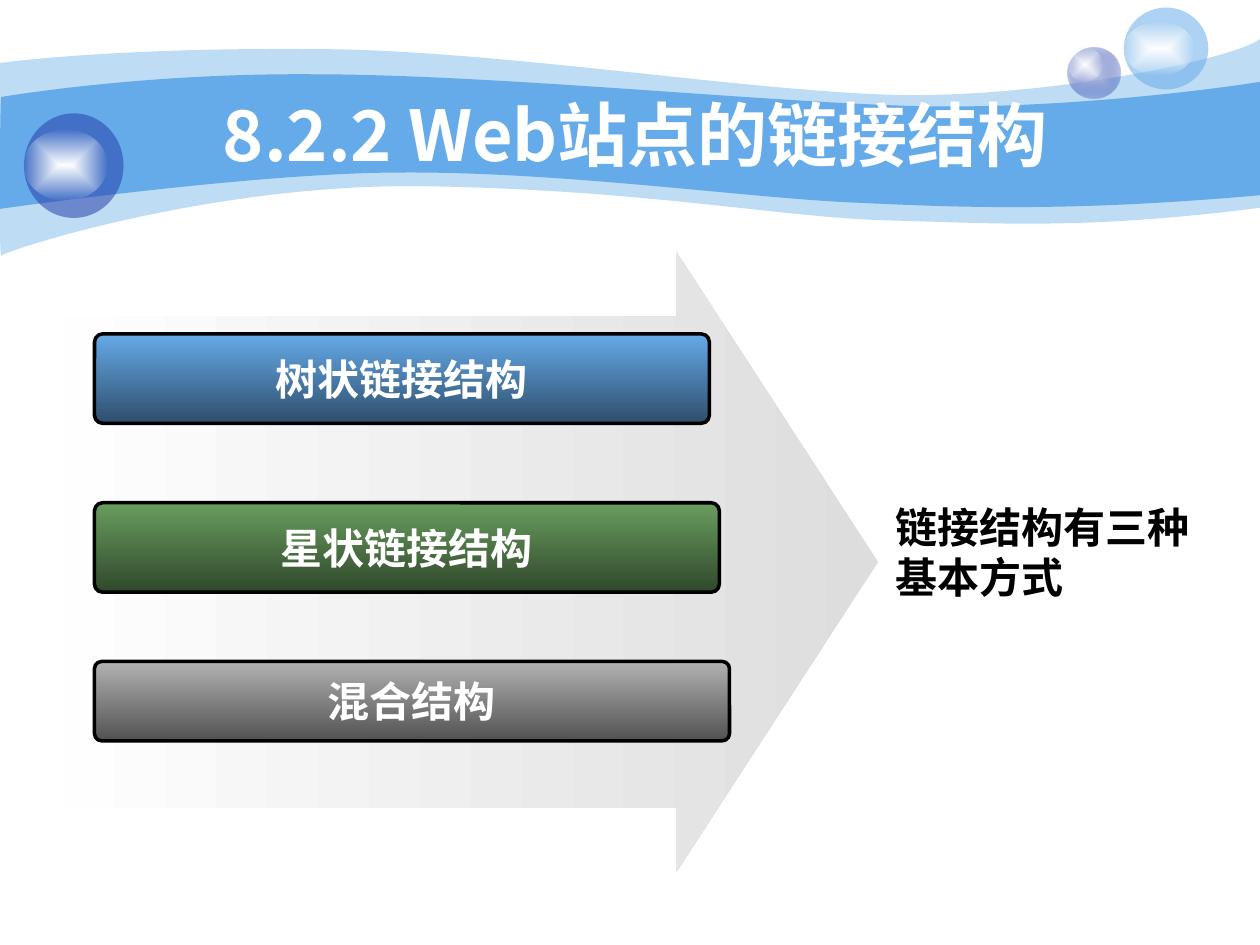
"""Build a slide on the three basic link structures of a web site."""
from dataclasses import dataclass
from typing import NamedTuple

from pptx import Presentation
from pptx.dml.color import RGBColor as Rgb
from pptx.enum.shapes import MSO_SHAPE as Kind
from pptx.enum.text import MSO_ANCHOR as Anchor, PP_ALIGN as Align
from pptx.oxml import parse_xml
from pptx.oxml.ns import nsdecls, qn
from pptx.util import Inches, Pt


class Stop(NamedTuple):
    hue: str
    alpha: int = 100


class Box(NamedTuple):
    left: float
    top: float
    width: float
    height: float


@dataclass(frozen=True)
class Theme:
    sky: str = "65AAE9"
    navy: str = "233DA9"
    white: str = "FFFFFF"
    black: str = "000000"
    glow: tuple = (Stop("FFFFFF"), Stop("FEFEFE", 0))
    fade: tuple = (Stop("DDDDDD"), Stop("FEFEFE"))
    head: int = 40
    body: int = 24
    face: str = "Arial"
    cjk: str = "Noto Sans CJK SC"
    bend: float = 1 / 11


@dataclass(frozen=True)
class Wave:
    start: tuple
    top: tuple
    edge: tuple
    base: tuple
    alpha: int


@dataclass(frozen=True)
class Ball:
    box: Box
    shine: Box
    fill: tuple


@dataclass(frozen=True)
class Bar:
    text: str
    top: float
    width: float
    height: float
    fill: tuple


THEME = Theme()
RECT = '<a:path path="rect"><a:fillToRect l="50000" t="50000" r="50000" b="50000"/></a:path>'
WAVES = (
    Wave((0, .5),
         ((.24, .47), (1.07, .38), (2.47, .39), (3.86, .39), (5.75, .7), (6.99, .75),
          (8.22, .8), (9.8, .47), (10, .31)),
         (10, 1.65),
         ((8.58, 1.83), (7.87, 1.77), (7.05, 1.75), (6.22, 1.73), (5.15, 1.51), (3.43, 1.48),
          (1.72, 1.44), (.04, 1.99), (.01, 2.03), (-.01, 2.08), (0, .75), (0, .5)), 41),
    Wave((.01, .77),
         ((.02, .77), (1.1, .58), (2.48, .59), (3.86, .59), (5.95, .8), (7.18, .84),
          (8.41, .88), (9.76, .69), (10, .65)),
         (10, 1.55),
         ((8.53, 1.68), (7.65, 1.65), (6.82, 1.61), (5.99, 1.58), (4.47, 1.36), (3.17, 1.37),
          (2.03, 1.37), (-.02, 1.66), (-.01, 1.66), (0, 1.66), (0, .77), (.01, .77)), 100),
)
BALLS = (
    Ball(Box(8.47, .38, .42, .4), Box(8.47, .38, .28, .27),
         (Stop("C6CCE8"), Stop(THEME.navy, 31))),
    Ball(Box(8.92, .06, .67, .65), Box(8.92, .17, .56, .43), (Stop(THEME.sky, 53),)),
    Ball(Box(.19, .9, .79, .83), Box(.19, 1.03, .66, .56), (Stop(THEME.navy, 53),)),
)
BARS = (
    Bar("树状链接结构", 2.65, 4.88, .71, (Stop(THEME.sky), Stop("2E4E6B"))),
    Bar("星状链接结构", 3.99, 4.96, .71, (Stop("699D5F"), Stop("30482B"))),
    Bar("混合结构", 5.25, 5.04, .63, (Stop("B2B2B2"), Stop("525252"))),
)


def tint(stop: Stop) -> str:
    """Return the colour element of a stop."""
    alpha = "" if stop.alpha == 100 else f'<a:alpha val="{stop.alpha * 1000}"/>'
    return f'<a:srgbClr val="{stop.hue}">{alpha}</a:srgbClr>'


def paint(shape, stops: tuple, angle: int | None = None) -> None:
    """Fill a shape with one colour, or with a linear or rectangular gradient."""
    if len(stops) == 1:
        xml = f'<a:solidFill {nsdecls("a")}>{tint(stops[0])}</a:solidFill>'
    else:
        marks = "".join(f'<a:gs pos="{i * 100000}">{tint(s)}</a:gs>' for i, s in enumerate(stops))
        way = RECT if angle is None else f'<a:lin ang="{angle * 60000}" scaled="0"/>'
        xml = (f'<a:gradFill {nsdecls("a")} rotWithShape="1">'
               f'<a:gsLst>{marks}</a:gsLst>{way}</a:gradFill>')
    shape._element.spPr.insert(2, parse_xml(xml))


def place(slide, kind: Kind, box: Box, stops: tuple, angle: int | None = None):
    """Add a preset shape with a fill and no line or shadow."""
    shape = slide.shapes.add_shape(kind, *map(Inches, box))
    shape.shadow.inherit = False
    shape.line.fill.background()
    if stops:
        paint(shape, stops, angle)
    else:
        shape.fill.background()
    return shape


def write(shape, text: str, hue: str, size: int, face: str, align: Align, wrap: bool) -> None:
    """Put one bold paragraph in a shape."""
    frame = shape.text_frame
    frame.word_wrap, frame.vertical_anchor = wrap, Anchor.MIDDLE
    para = frame.paragraphs[0]
    para.alignment = align
    run = para.add_run()
    run.text = text
    for key, val in {"size": Pt(size), "bold": True, "name": face}.items():
        setattr(run.font, key, val)
    run.font.color.rgb = Rgb.from_string(hue)
    east = parse_xml(f'<a:ea {nsdecls("a")} typeface="{face}"/>')
    run.font._element.find(qn("a:latin")).addnext(east)


def curve(lines: list) -> None:
    """Turn each three line segments into one cubic curve."""
    for i in range(0, len(lines), 3):
        cubic = parse_xml(f'<a:cubicBezTo {nsdecls("a")}/>')
        lines[i].addprevious(cubic)
        for line in lines[i:i + 3]:
            cubic.append(line[0])
            line.getparent().remove(line)


def draw_wave(slide, wave: Wave) -> None:
    """Draw one band of the header."""
    dots = (*wave.top, wave.edge, *wave.base)
    pen = slide.shapes.build_freeform(*map(Inches, wave.start))
    pen.add_line_segments([(Inches(x), Inches(y)) for x, y in dots], close=True)
    shape = pen.convert_to_shape()
    lines = list(shape._element.iter(qn("a:lnTo")))
    count = len(wave.top)
    curve(lines[:count])
    curve(lines[count + 1:count + 1 + len(wave.base)])
    shape.shadow.inherit = False
    shape.line.fill.background()
    paint(shape, (Stop(THEME.sky, wave.alpha),))


def draw_ball(slide, ball: Ball) -> None:
    """Draw a ball with its shine."""
    place(slide, Kind.OVAL, ball.box, ball.fill)
    place(slide, Kind.OVAL, ball.shine, THEME.glow)


def draw_bar(slide, bar: Bar) -> None:
    """Draw a labelled bar on the arrow."""
    box = Box(.75, bar.top, bar.width, bar.height)
    shape = place(slide, Kind.ROUNDED_RECTANGLE, box, bar.fill, 90)
    shape.adjustments[0] = THEME.bend
    shape.line.color.rgb = Rgb.from_string(THEME.black)
    shape.line.width = Pt(2)
    write(shape, bar.text, THEME.white, THEME.body, THEME.face, Align.CENTER, False)


def main() -> None:
    """Build and save the slide."""
    deck = Presentation()
    deck.slide_width, deck.slide_height = Inches(10), Inches(7.5)
    slide = deck.slides.add_slide(deck.slide_layouts[6])
    for wave in WAVES:
        draw_wave(slide, wave)
    for ball in BALLS:
        draw_ball(slide, ball)
    title = slide.shapes.add_textbox(*map(Inches, Box(1, .75, 8.08, .62)))
    write(title, "8.2.2 Web站点的链接结构", THEME.white, THEME.head, THEME.cjk, Align.CENTER, True)
    area = Box(.5, 2, 6.47, 4.92)
    arrow = place(slide, Kind.RIGHT_ARROW, area, THEME.fade, 180)
    for i, size in enumerate((3.9, 1.6)):
        arrow.adjustments[i] = size / area.height
    for bar in BARS:
        draw_bar(slide, bar)
    note = place(slide, Kind.ROUNDED_RECTANGLE, Box(6.97, 3.67, 2.75, 1.42), ())
    note.adjustments[0] = THEME.bend
    write(note, "链接结构有三种基本方式", THEME.black, THEME.body, THEME.face, Align.LEFT, True)
    deck.save("out.pptx")


if __name__ == "__main__":
    main()
